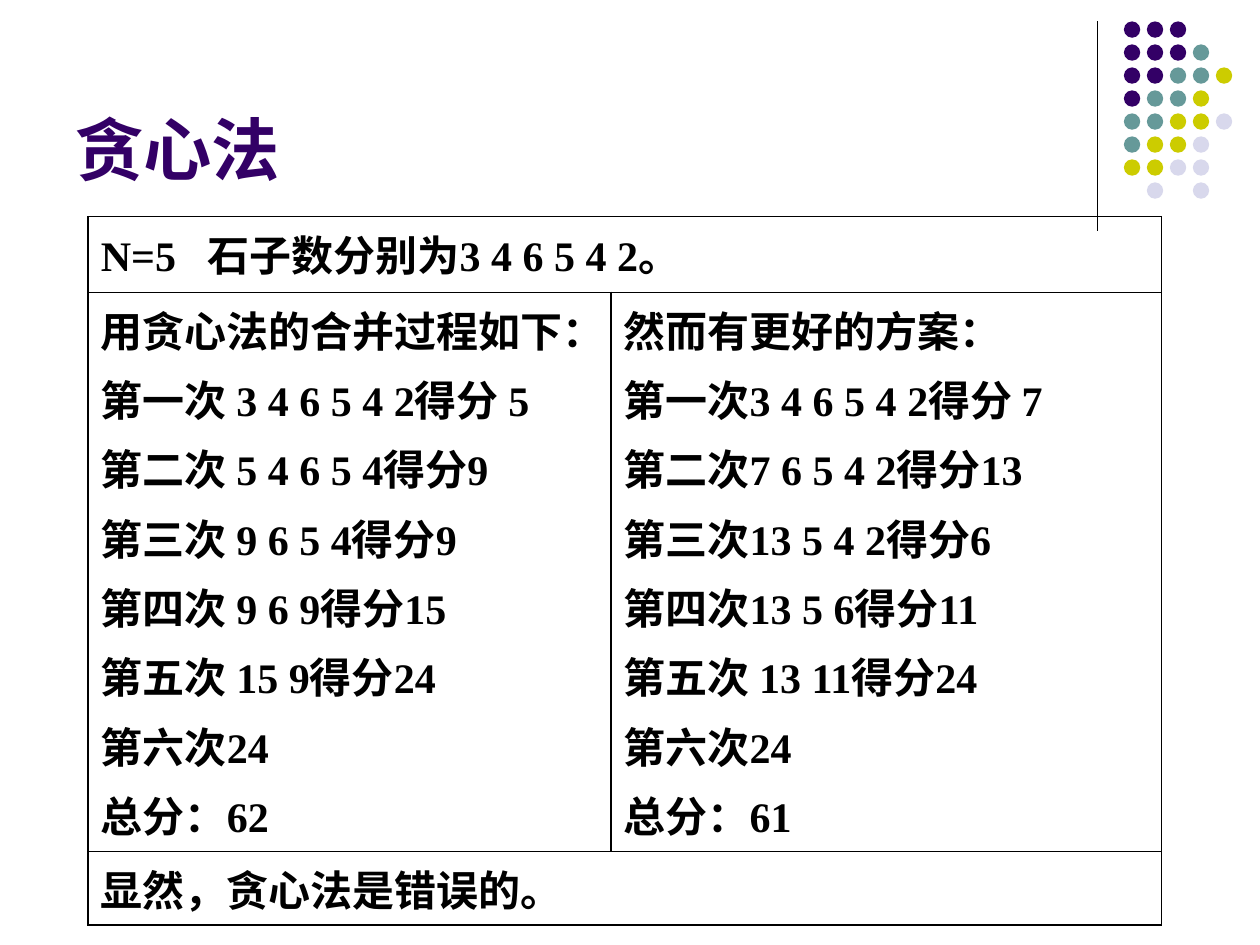
from lxml import etree
from pptx import Presentation
from pptx.dml.color import RGBColor
from pptx.enum.shapes import MSO_CONNECTOR, MSO_SHAPE
from pptx.enum.text import MSO_ANCHOR
from pptx.oxml.ns import qn
from pptx.util import Inches, Pt

STRAIGHT = MSO_CONNECTOR.STRAIGHT
OVAL = MSO_SHAPE.OVAL
BOTTOM = MSO_ANCHOR.BOTTOM

BLACK = RGBColor(0, 0, 0)
PURPLE = RGBColor(0x33, 0x00, 0x66)
TEAL = RGBColor(0x66, 0x99, 0x99)
OLIVE = RGBColor(0xCC, 0xCC, 0x00)
LAVENDER = RGBColor(0xD8, 0xD8, 0xEC)

TITLE = "贪心法"
PREMISE = ["N=5   石子数分别为3 4 6 5 4 2。"]
GREEDY = [
    "用贪心法的合并过程如下：",
    "第一次 3 4 6 5 4 2得分 5",
    "第二次 5 4 6 5 4得分9",
    "第三次 9 6 5 4得分9",
    "第四次 9 6 9得分15",
    "第五次 15 9得分24",
    "第六次24",
    "总分：62",
]
BETTER = [
    "然而有更好的方案：",
    "第一次3 4 6 5 4 2得分 7",
    "第二次7 6 5 4 2得分13",
    "第三次13 5 4 2得分6",
    "第四次13 5 6得分11",
    "第五次 13 11得分24",
    "第六次24",
    "总分：61",
]
CONCLUSION = ["显然，贪心法是错误的。"]
TABLE_ROWS = [[PREMISE], [GREEDY, BETTER], [CONCLUSION]]
COLUMN_WIDTHS = [4.15, 4.37]
ROW_HEIGHTS = [0.6, 4.44, 0.58]

DOT_COLORS = {"P": PURPLE, "T": TEAL, "O": OLIVE, "L": LAVENDER}
DOT_ROWS = ["PPP", "PPPT", "PPTTO", "PTTO", "TTOOL", "TOOL", "OOLL", " L L"]
DOT_LEFT, DOT_TOP, DOT_SIZE = 8.92, 0.17, 0.13
DOT_PITCH = (9.65 - DOT_LEFT) / 4

TITLE_FONT = {"name": "Arial", "size": Pt(39), "bold": True}
BODY_FONT = {"name": "Times New Roman", "size": Pt(24), "bold": True}


def write_run(paragraph, text, font_format, color):
    """Add formatted text to a paragraph."""
    run = paragraph.add_run()
    run.text = text
    for name, value in font_format.items():
        setattr(run.font, name, value)
    run.font.color.rgb = color


def add_divider(slide):
    """Draw the vertical rule beside the dots."""
    line = slide.shapes.add_connector(
        STRAIGHT, Inches(8.71), Inches(0.17), Inches(8.71), Inches(1.83))
    line.line.color.rgb = BLACK
    line.line.width = Pt(0.75)
    etree.SubElement(line._element.spPr, qn("a:effectLst"))


def add_dots(slide):
    """Draw the grid of coloured dots as one group."""
    group = slide.shapes.add_group_shape()
    for row, codes in enumerate(DOT_ROWS):
        for column, code in enumerate(codes):
            if code not in DOT_COLORS:
                continue
            dot = group.shapes.add_shape(
                OVAL,
                Inches(DOT_LEFT + column * DOT_PITCH),
                Inches(DOT_TOP + row * DOT_PITCH),
                Inches(DOT_SIZE), Inches(DOT_SIZE))
            dot.shadow.inherit = False
            dot.fill.solid()
            dot.fill.fore_color.rgb = DOT_COLORS[code]
            dot.line.fill.background()


def add_title(slide):
    """Write the heading at the bottom of its box."""
    box = slide.shapes.add_textbox(
        Inches(0.5), Inches(0.13), Inches(8.25), Inches(1.42))
    frame = box.text_frame
    frame.word_wrap = True
    frame.vertical_anchor = BOTTOM
    write_run(frame.paragraphs[0], TITLE, TITLE_FONT, PURPLE)


def set_borders(cell):
    """Give a cell thin black edges and no fill."""
    properties = cell._tc.get_or_add_tcPr()
    for edge in ("a:lnL", "a:lnR", "a:lnT", "a:lnB"):
        line = etree.SubElement(properties, qn(edge), w=str(Pt(1)))
        fill = etree.SubElement(line, qn("a:solidFill"))
        etree.SubElement(fill, qn("a:srgbClr"), val=str(BLACK))
    cell.fill.background()


def fill_cell(cell, lines):
    """Write one paragraph per line into a cell."""
    frame = cell.text_frame
    for index, text in enumerate(lines):
        paragraph = frame.add_paragraph() if index else frame.paragraphs[0]
        paragraph.space_before = Pt(4.8)
        write_run(paragraph, text, BODY_FONT, BLACK)


def add_comparison(slide):
    """Build the table that compares the two merge orders."""
    table = slide.shapes.add_table(
        len(ROW_HEIGHTS), len(COLUMN_WIDTHS), Inches(0.7), Inches(1.72),
        Inches(sum(COLUMN_WIDTHS)), Inches(sum(ROW_HEIGHTS))).table
    table.first_row = False
    table.horz_banding = False
    for column, width in zip(table.columns, COLUMN_WIDTHS):
        column.width = Inches(width)
    for row, height in zip(table.rows, ROW_HEIGHTS):
        row.height = Inches(height)
    for cell in table.iter_cells():
        set_borders(cell)
    for row, contents in enumerate(TABLE_ROWS):
        if len(contents) == 1:
            table.cell(row, 0).merge(table.cell(row, 1))
        for column, lines in enumerate(contents):
            fill_cell(table.cell(row, column), lines)


presentation = Presentation()
presentation.slide_width = Inches(10)
presentation.slide_height = Inches(7.5)
slide = presentation.slides.add_slide(presentation.slide_layouts[6])
add_divider(slide)
add_dots(slide)
add_title(slide)
add_comparison(slide)
presentation.save("out.pptx")
